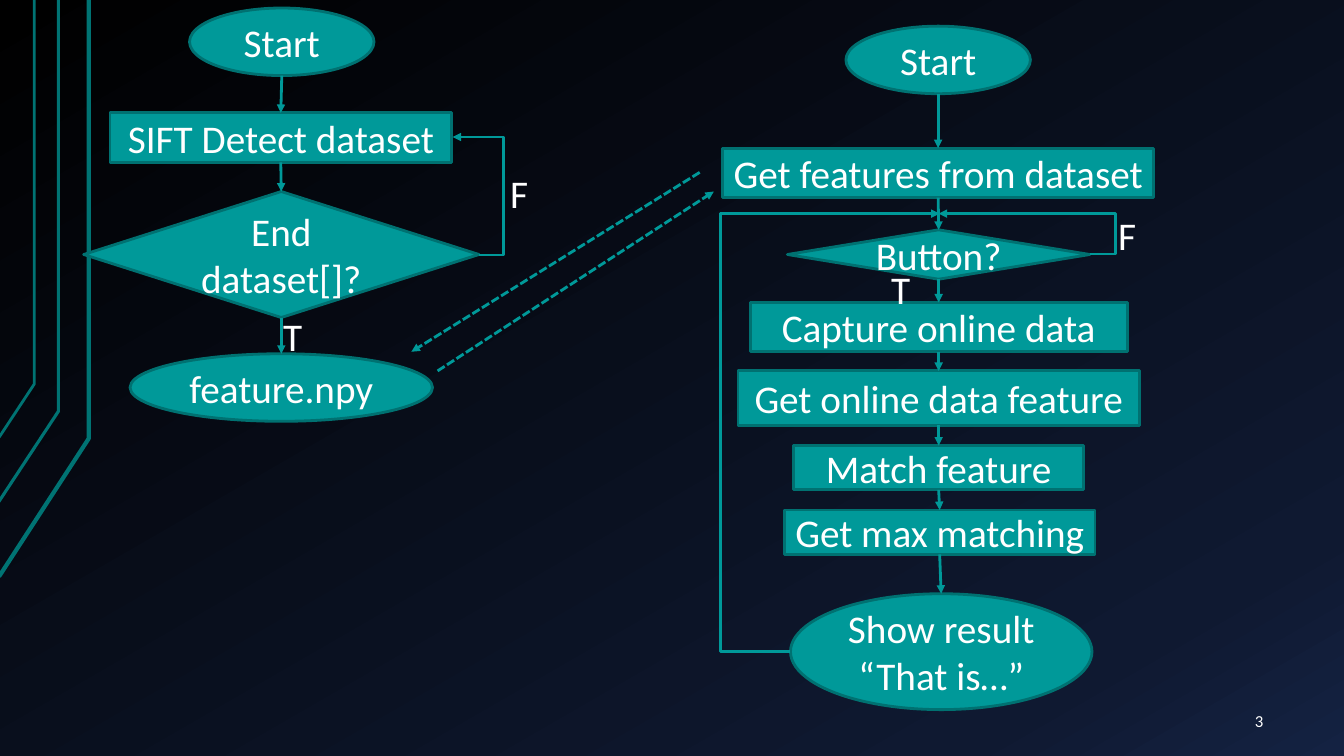
from copy import deepcopy
from dataclasses import dataclass
from itertools import pairwise

from pptx import Presentation
from pptx.dml.color import RGBColor
from pptx.enum.dml import MSO_LINE
from pptx.enum.shapes import MSO_CONNECTOR as Conn, MSO_SHAPE as Shape
from pptx.enum.text import MSO_ANCHOR, MSO_AUTO_SIZE, PP_ALIGN
from pptx.oxml.ns import qn
from pptx.shapes.autoshape import Shape as AutoShape
from pptx.shapes.connector import Connector
from pptx.slide import Slide
from pptx.text.text import TextFrame
from pptx.util import Inches, Pt
from lxml.etree import SubElement

COLORS = {
    "fill": "009999", "outline": "007171", "decor": "007373", "text": "FFFFFF",
    "bg_start": "000000", "bg_middle": "0F1931", "bg_end": "142242",
}
FONT = "Calibri"
Point = tuple[float, float]


@dataclass
class Node:
    text: str
    kind: Shape
    left: float
    top: float
    width: float
    height: float


@dataclass
class Elbow:
    begin: Point
    end: Point
    preset: str
    adjustments: tuple[float, ...]


@dataclass
class Label:
    text: str
    left: float
    top: float


@dataclass
class Stripe:
    points: list[Point]
    weight: float


OVAL, BOX, DIAMOND = Shape.OVAL, Shape.RECTANGLE, Shape.DIAMOND

TRAINING = [
    Node("Start", OVAL, 1.88, 0.08, 1.83, 0.67),
    Node("SIFT Detect dataset", BOX, 1.09, 1.12, 3.39, 0.49),
    Node("End dataset[]?", DIAMOND, 0.83, 1.9, 3.92, 1.25),
    Node("feature.npy", OVAL, 1.29, 3.51, 3, 0.67),
]
MATCHING = [
    Node("Start", OVAL, 8.39, 0.26, 1.83, 0.67),
    Node("Get features from dataset", BOX, 7.17, 1.47, 4.27, 0.49),
    Node("Button?", DIAMOND, 7.81, 2.28, 3, 0.49),
    Node("Capture online data", BOX, 7.44, 3, 3.74, 0.49),
    Node("Get online data feature", BOX, 7.32, 3.68, 3.98, 0.54),
    Node("Match feature", BOX, 7.87, 4.42, 2.88, 0.44),
    Node("Get max matching", BOX, 7.78, 5.06, 3.08, 0.44),
    Node("Show result “That is…”", OVAL, 7.84, 5.89, 2.99, 1.15),
]
LOOPS = [
    Elbow((4.75, 2.53), (4.49, 1.36), "bentConnector3", (-0.95,)),
    Elbow((10.81, 2.52), (9.31, 2.12), "bentConnector3", (-0.17,)),
    Elbow((7.84, 6.46), (9.32, 2.12), "bentConnector4", (-0.47, 1)),
]
EXCHANGES = [((4.34, 3.68), (7.08, 1.9)), ((6.94, 1.71), (4.08, 3.49))]
LABELS = [
    Label("T", 2.71, 3.05), Label("F", 4.96, 1.63),
    Label("T", 8.74, 2.58), Label("F", 10.99, 2.05),
]
STRIPES = [
    Stripe([(-0.01, 5.72), (0.88, 4.35), (0.88, 0)], 3),
    Stripe([(-0.02, 4.99), (0.58, 4.08), (0.58, 0)], 2.25),
    Stripe([(-0.01, 4.34), (0.34, 3.81), (0.34, 0)], 2),
]


def color(name: str) -> RGBColor:
    return RGBColor.from_string(COLORS[name])


def write(tf: TextFrame, text: str, size: float, align: PP_ALIGN) -> None:
    tf.text = text
    p = tf.paragraphs[0]
    p.alignment = align
    font = p.runs[0].font
    font.name, font.size = FONT, Pt(size)
    font.color.rgb = color("text")


def paint_background(s: Slide) -> None:
    fill = s.background.fill
    fill.gradient()
    fill.gradient_angle = 300
    stops = s.element.find(".//" + qn("a:gsLst"))
    stops.append(deepcopy(stops[-1]))
    names = [("bg_start", 0), ("bg_middle", 0.85), ("bg_end", 1)]
    for stop, (name, position) in zip(fill.gradient_stops, names):
        stop.color.rgb = color(name)
        stop.position = position


def add_stripe(s: Slide, stripe: Stripe) -> None:
    points = [(Inches(x), Inches(y)) for x, y in stripe.points]
    builder = s.shapes.build_freeform(*points[0])
    builder.add_line_segments(points[1:], close=False)
    sp = builder.convert_to_shape()
    sp.shadow.inherit = False
    sp.fill.background()
    sp.line.color.rgb = color("decor")
    sp.line.width = Pt(stripe.weight)


def add_node(s: Slide, node: Node) -> AutoShape:
    sp = s.shapes.add_shape(node.kind, Inches(node.left), Inches(node.top),
                            Inches(node.width), Inches(node.height))
    sp.shadow.inherit = False
    sp.fill.solid()
    sp.fill.fore_color.rgb = color("fill")
    sp.line.color.rgb = color("outline")
    sp.line.width = Pt(2)
    sp.text_frame.vertical_anchor = MSO_ANCHOR.MIDDLE
    write(sp.text_frame, node.text, 28, PP_ALIGN.CENTER)
    return sp


def add_arrow(s: Slide, begin: Point, end: Point, kind: Conn = Conn.STRAIGHT,
              dashed: bool = False) -> Connector:
    arrow = s.shapes.add_connector(kind, *map(Inches, begin + end))
    arrow.line.color.rgb = color("fill")
    arrow.line.width = Pt(2)
    if dashed:
        arrow.line.dash_style = MSO_LINE.SQUARE_DOT
    props = arrow.element.spPr
    SubElement(props.find(qn("a:ln")), qn("a:tailEnd"), type="triangle")
    SubElement(props, qn("a:effectLst"))
    return arrow


def add_chain(s: Slide, nodes: list[Node]) -> None:
    """Draw the nodes and join each one's bottom to the next one's top."""
    shapes = [add_node(s, node) for node in nodes]
    for (a, upper), (b, lower) in pairwise(zip(nodes, shapes)):
        begin = (a.left + a.width / 2, a.top + a.height)
        arrow = add_arrow(s, begin, (b.left + b.width / 2, b.top))
        if a.kind != OVAL:
            arrow.begin_connect(upper, 2)
        arrow.end_connect(lower, 0)


def add_loop(s: Slide, loop: Elbow) -> None:
    arrow = add_arrow(s, loop.begin, loop.end, Conn.ELBOW)
    geometry = arrow.element.spPr.find(qn("a:prstGeom"))
    geometry.set("prst", loop.preset)
    guides = geometry.find(qn("a:avLst"))
    for i, value in enumerate(loop.adjustments, 1):
        SubElement(guides, qn("a:gd"), name=f"adj{i}", fmla=f"val {round(value * 100000)}")


def add_label(s: Slide, label: Label) -> None:
    box = s.shapes.add_textbox(Inches(label.left), Inches(label.top), Inches(0.38), Inches(0.57))
    box.text_frame.word_wrap = False
    box.text_frame.auto_size = MSO_AUTO_SIZE.SHAPE_TO_FIT_TEXT
    write(box.text_frame, label.text, 28, PP_ALIGN.LEFT)


def add_page_number(s: Slide, number: str) -> None:
    tf = s.shapes.add_textbox(Inches(11.55), Inches(6.95), Inches(1.11), Inches(0.4)).text_frame
    tf.word_wrap = True
    tf.vertical_anchor = MSO_ANCHOR.MIDDLE
    tf.margin_left = tf.margin_right = Inches(0.13)
    tf.margin_top = tf.margin_bottom = Inches(0.07)
    write(tf, number, 12, PP_ALIGN.RIGHT)


def main() -> None:
    prs = Presentation()
    prs.slide_width, prs.slide_height = Inches(13.33), Inches(7.5)
    s = prs.slides.add_slide(prs.slide_layouts[6])
    paint_background(s)
    for stripe in STRIPES:
        add_stripe(s, stripe)
    for chain in (TRAINING, MATCHING):
        add_chain(s, chain)
    for begin, end in EXCHANGES:
        add_arrow(s, begin, end, dashed=True)
    for loop in LOOPS:
        add_loop(s, loop)
    for label in LABELS:
        add_label(s, label)
    add_page_number(s, "3")
    prs.save("out.pptx")


if __name__ == "__main__":
    main()
